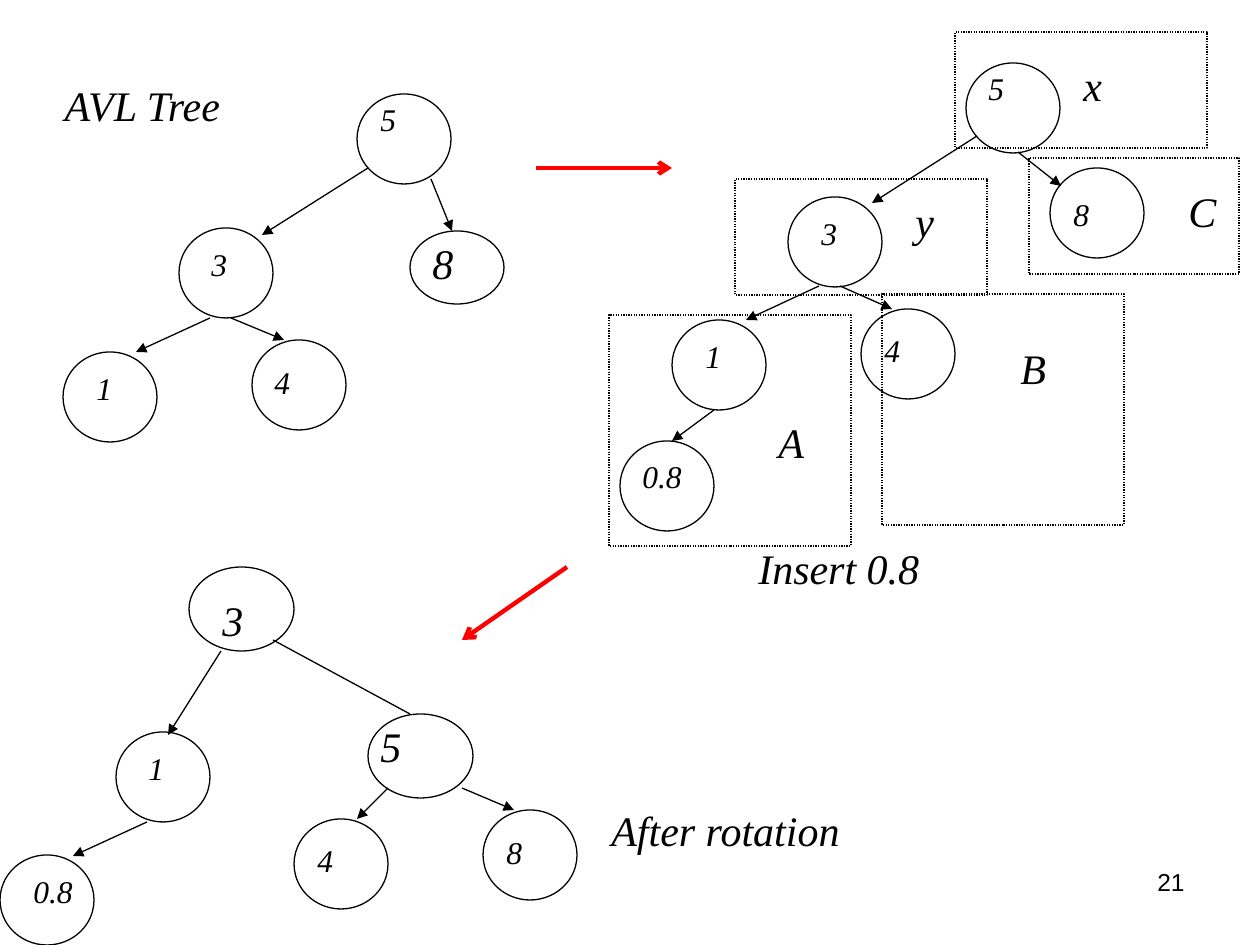
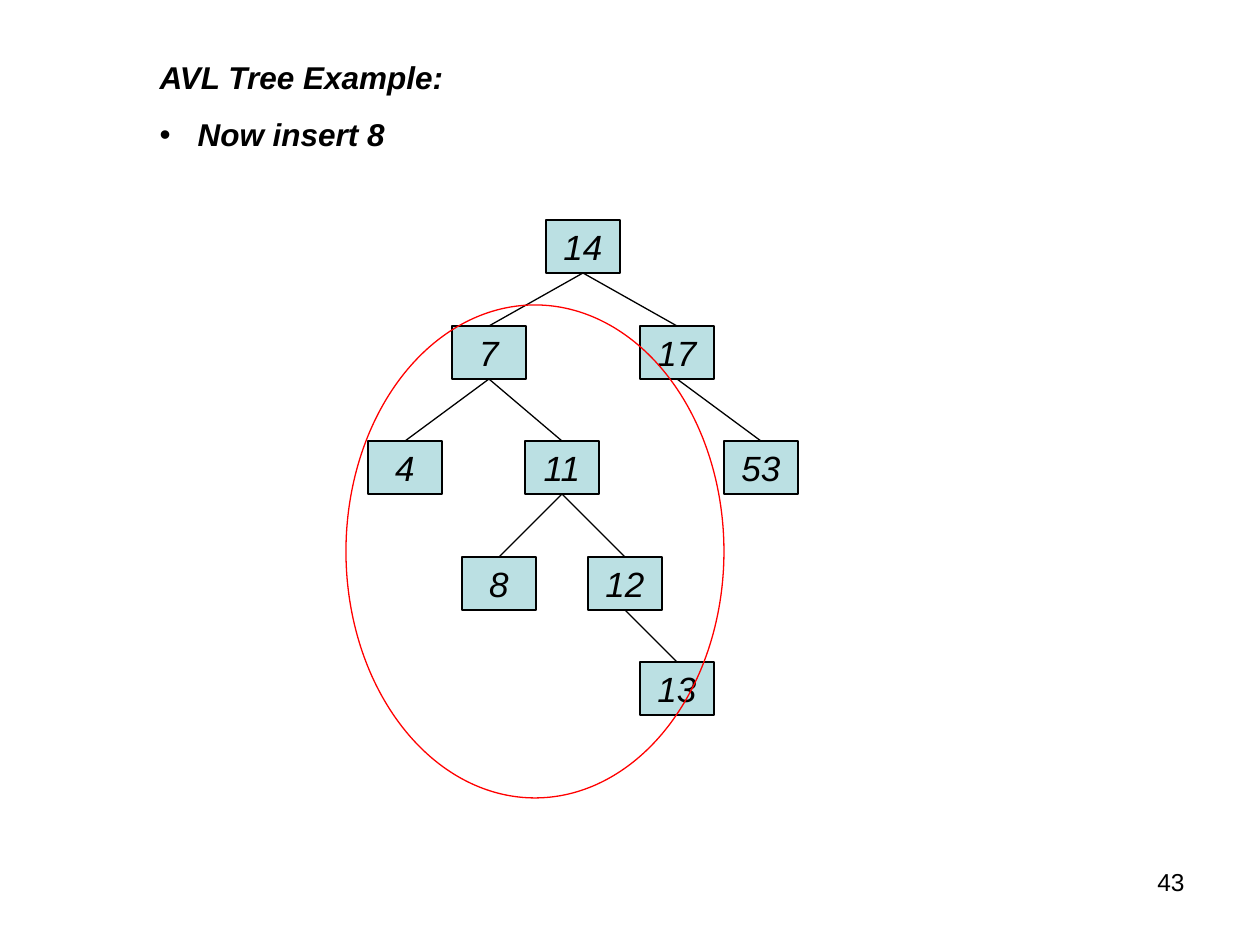
from dataclasses import dataclass

from lxml.etree import SubElement
from pptx import Presentation
from pptx.dml.color import RGBColor
from pptx.enum.dml import MSO_LINE
from pptx.enum.shapes import MSO_CONNECTOR, MSO_SHAPE
from pptx.enum.text import MSO_ANCHOR as Anchor
from pptx.enum.text import MSO_AUTO_SIZE as AutoSize
from pptx.enum.text import PP_ALIGN as Align
from pptx.oxml.ns import qn
from pptx.util import Emu, Pt

EMU_PER_PX = 914400 / 126
TITLE_AND_CONTENT, TITLE_ONLY = 1, 5
SMALL, WIDE, FLAT = (94, 90), (105, 84), (94, 73)


@dataclass(frozen=True)
class Theme:
    ink: RGBColor = RGBColor(0x00, 0x00, 0x00)
    accent: RGBColor = RGBColor(0xFF, 0x00, 0x00)
    node_fill: RGBColor = RGBColor(0xBB, 0xE0, 0xE3)
    serif: str = "Times New Roman"
    sans: str = "Arial"
    caption: int = 24
    box_value: int = 20
    body: int = 18
    page: int = 14
    thin: float = 0.75
    thick: float = 2.5


THEME = Theme()


def px(*lengths):
    return [Emu(round(length * EMU_PER_PX)) for length in lengths]


def write_text(shape, text, *, size, font=THEME.serif, bold=False, italic=True,
               align=Align.LEFT, anchor=Anchor.TOP, wrap=True, bullet_indent=None):
    frame = shape.text_frame
    frame.auto_size = AutoSize.NONE
    frame.word_wrap = wrap
    frame.vertical_anchor = anchor
    frame.text = text
    paragraph = frame.paragraphs[0]
    paragraph.alignment = align
    paragraph.space_before = Pt(0)
    if bullet_indent:
        properties = paragraph._p.get_or_add_pPr()
        indent, = px(bullet_indent)
        properties.set("marL", str(indent))
        properties.set("indent", str(-indent))
        SubElement(properties, qn("a:buFont"), typeface=THEME.sans)
        SubElement(properties, qn("a:buChar"), char="•")
    style = paragraph.runs[0].font
    style.name, style.size = font, Pt(size)
    style.bold, style.italic = bold, italic
    style.color.rgb = THEME.ink


def add_label(slide, text, left, top, width=105, height=63, **text_format):
    write_text(slide.shapes.add_textbox(*px(left, top, width, height)), text,
               **{"size": THEME.caption, **text_format})


def fill_placeholder(placeholder, text, bounds, **text_format):
    placeholder.left, placeholder.top, placeholder.width, placeholder.height = px(*bounds)
    write_text(placeholder, text, **text_format)


def add_outline(slide, kind, bounds, color=THEME.ink, fill=None, dash=None):
    outline = slide.shapes.add_shape(kind, *px(*bounds))
    outline.shadow.inherit = False
    if fill is None:
        outline.fill.background()
    else:
        outline.fill.solid()
        outline.fill.fore_color.rgb = fill
    outline.line.color.rgb = color
    outline.line.width = Pt(THEME.thin)
    if dash:
        outline.line.dash_style = dash
    return outline


def add_edge(slide, ends=(0, 0, 0, 0), color=THEME.ink, width=THEME.thin, head=None):
    edge = slide.shapes.add_connector(MSO_CONNECTOR.STRAIGHT, *px(*ends))
    edge.line.color.rgb = color
    edge.line.width = Pt(width)
    if head:
        SubElement(edge.line._get_or_add_ln(), qn("a:tailEnd"), type=head)
    SubElement(edge._element.spPr, qn("a:effectLst"))
    return edge


def add_circle_node(slide, value, left, top, label_dx, label_dy, size=SMALL, text_size=THEME.body):
    add_outline(slide, MSO_SHAPE.OVAL, (left, top, *size))
    add_label(slide, value, left + label_dx, top + label_dy, size=text_size)


def add_region(slide, name, bounds, label_left, label_top):
    add_outline(slide, MSO_SHAPE.RECTANGLE, bounds, dash=MSO_LINE.ROUND_DOT)
    add_label(slide, name, label_left, label_top, width=84)


def add_box_node(slide, value, left, top):
    box = add_outline(slide, MSO_SHAPE.RECTANGLE, (left, top, 74, 53), fill=THEME.node_fill)
    write_text(box, value, size=THEME.box_value, font=THEME.sans,
               align=Align.CENTER, anchor=Anchor.MIDDLE, wrap=False)
    return box


def add_page_number(slide, number):
    add_label(slide, number, 903, 861, width=294, size=THEME.page, font=THEME.sans,
              italic=False, align=Align.RIGHT)


def build_rotation_slide(deck):
    slide = deck.slides.add_slide(deck.slide_layouts[TITLE_ONLY])
    fill_placeholder(slide.shapes.title, "AVL Tree", (52, 73, 300, 63), size=THEME.caption)

    before = [
        ("5", 357, 94, 11, 0),
        ("3", 179, 228, 20, 11),
        ("1", 63, 352, 21, 11),
        ("4", 252, 340, 10, 17),
        ("8", 410, 231, 10, 0, FLAT, THEME.caption),
    ]
    inserted = [
        ("5", 966, 63, 10, 0),
        ("3", 788, 197, 21, 11),
        ("1", 672, 320, 21, 11),
        ("4", 861, 309, 11, 16),
        ("8", 1050, 168, 11, 21),
        ("0.8", 620, 441, 10, 10),
    ]
    rotated = [
        ("3", 189, 567, 21, 21, WIDE, THEME.caption),
        ("5", 368, 714, 0, 0, WIDE, THEME.caption),
        ("1", 116, 732, 20, 11),
        ("0.8", 0, 855, 21, 11),
        ("4", 294, 819, 11, 16),
        ("8", 483, 810, 11, 17),
    ]
    for node in before + inserted + rotated:
        add_circle_node(slide, *node)

    before_arrows = [(368, 168, 262, 235), (431, 179, 452, 231),
                     (210, 318, 136, 352), (231, 318, 284, 340)]
    inserted_arrows = [(977, 136, 872, 203), (1018, 152, 1061, 186), (819, 286, 746, 320),
                       (840, 286, 892, 309), (714, 410, 672, 441)]
    rotated_arrows = [(221, 651, 168, 735), (147, 822, 73, 856),
                      (388, 788, 357, 819), (462, 788, 514, 810)]
    for ends in before_arrows + inserted_arrows + rotated_arrows:
        add_edge(slide, ends, head="triangle")
    add_edge(slide, (273, 640, 410, 714))

    regions = [
        ("x", (955, 32, 252, 116), 1071, 53),
        ("y", (735, 179, 252, 116), 903, 189),
        ("A", (609, 315, 242, 231), 766, 410),
        ("B", (882, 294, 242, 231), 1008, 336),
        ("C", (1029, 158, 210, 116), 1176, 179),
    ]
    for region in regions:
        add_region(slide, *region)

    add_label(slide, "Insert 0.8", 746, 536, width=514)
    add_label(slide, "After rotation", 599, 798, width=315)
    for step in [(536, 168, 672, 168), (567, 567, 462, 640)]:
        add_edge(slide, step, color=THEME.accent, width=THEME.thick, head="arrow")
    add_page_number(slide, "21")


def build_insert_slide(deck):
    slide = deck.slides.add_slide(deck.slide_layouts[TITLE_AND_CONTENT])
    heading = dict(size=THEME.body, font=THEME.sans, bold=True)
    fill_placeholder(slide.shapes.title, "AVL Tree Example:", (147, 52, 987, 50), **heading)
    fill_placeholder(slide.placeholders[1], "Now insert 8", (147, 109, 987, 50),
                     bullet_indent=38, **heading)

    positions = {
        "14": (546, 220),
        "7": (452, 326), "17": (640, 326),
        "4": (368, 441), "11": (525, 441), "53": (724, 441),
        "8": (462, 557), "12": (588, 557),
        "13": (640, 662),
    }
    children = {"14": ("7", "17"), "7": ("4", "11"), "17": ("53",),
                "11": ("8", "12"), "12": ("13",)}
    boxes = {value: add_box_node(slide, value, *spot) for value, spot in positions.items()}
    for parent, values in children.items():
        for child in values:
            branch = add_edge(slide)
            branch.begin_connect(boxes[parent], 2)
            branch.end_connect(boxes[child], 0)

    add_outline(slide, MSO_SHAPE.OVAL, (346, 305, 378, 493), color=THEME.accent)
    add_page_number(slide, "43")


def main():
    deck = Presentation()
    deck.slide_width, deck.slide_height = px(1260, 945)
    build_rotation_slide(deck)
    build_insert_slide(deck)
    deck.save("out.pptx")


if __name__ == "__main__":
    main()
